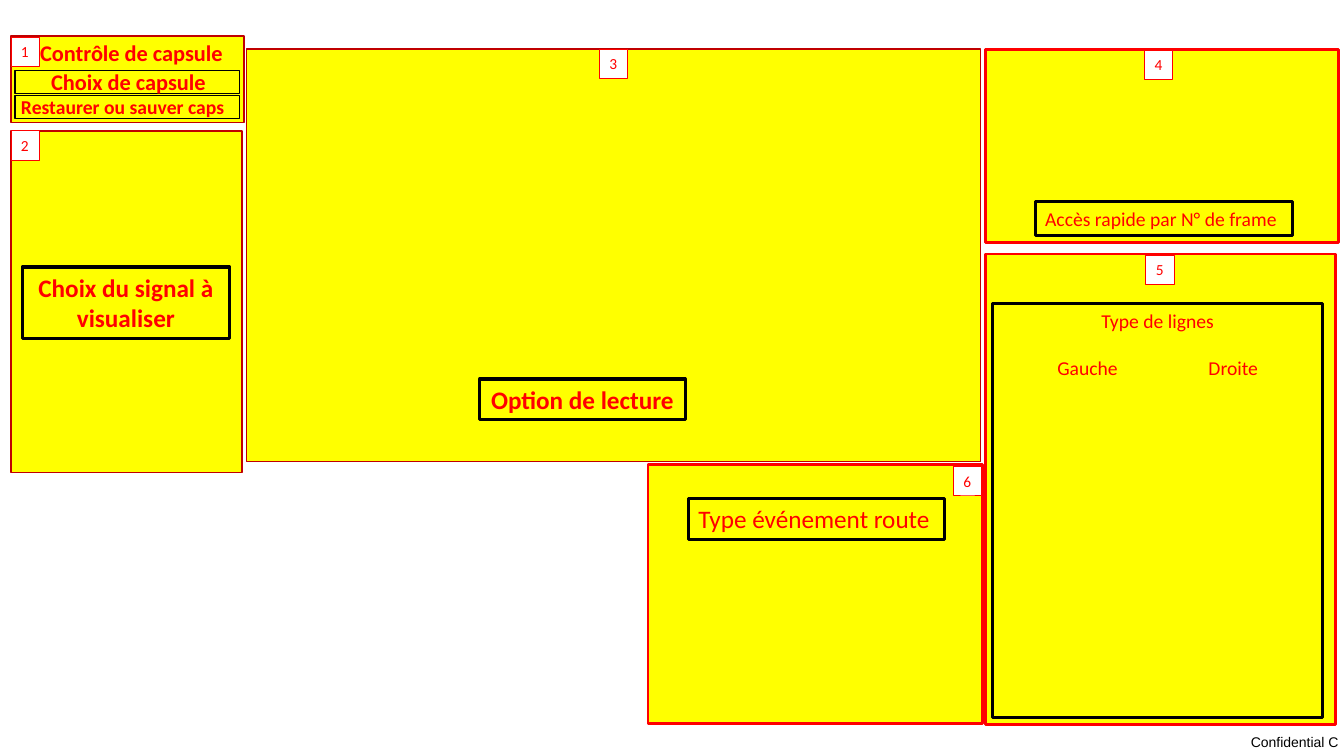
from pptx import Presentation
from pptx.dml.color import RGBColor
from pptx.enum.shapes import MSO_SHAPE
from pptx.enum.text import MSO_ANCHOR, PP_ALIGN
from pptx.util import Cm, Pt

RECT = MSO_SHAPE.RECTANGLE
TOP, MIDDLE = MSO_ANCHOR.TOP, MSO_ANCHOR.MIDDLE
LEFT, CENTER, RIGHT = PP_ALIGN.LEFT, PP_ALIGN.CENTER, PP_ALIGN.RIGHT
COLORS = {"yellow": "FFFF00", "red": "FF0000", "dark red": "C00000",
          "black": "000000", "white": "FFFFFF"}

prs = Presentation()
prs.slide_width, prs.slide_height = Cm(33.87), Cm(19.05)
slide = prs.slides.add_slide(prs.slide_layouts[6])


def add_box(box, line, width, fill=None):
    sp = slide.shapes.add_shape(RECT, *[Cm(v) for v in box])
    sp.shadow.inherit = False
    if fill:
        sp.fill.solid()
        sp.fill.fore_color.rgb = RGBColor.from_string(COLORS[fill])
    else:
        sp.fill.background()
    sp.line.color.rgb = RGBColor.from_string(COLORS[line])
    sp.line.width = Pt(width)
    return sp


def write(sp, text, size, bold=False, align=LEFT, wrap=False, font="Calibri", color="red"):
    tf = sp.text_frame
    tf.text = text
    tf.word_wrap = wrap
    tf.vertical_anchor = TOP
    for p in tf.paragraphs:
        p.alignment = align
        for r in p.runs:
            r.font.name, r.font.size, r.font.bold = font, Pt(size), bold
            r.font.color.rgb = RGBColor.from_string(COLORS[color])
    return tf


# Numbered zones of the screen: box, line colour, line width
panels = [
    ((0.28, 0.91, 5.87, 2.18), "dark red", 1),
    ((0.28, 3.3, 5.82, 8.61), "dark red", 1),
    ((6.22, 1.24, 18.49, 10.39), "dark red", 1),
    ((24.84, 1.24, 8.89, 4.88), "red", 2),
    ((24.84, 6.4, 8.81, 11.86), "red", 2),
    ((16.33, 11.71, 8.43, 6.53), "red", 2),
]
for box, line, width in panels:
    add_box(box, line, width, "yellow")

# Capsule control
for top in (1.78, 2.41):
    add_box((0.38, top, 5.66, 0.58), "black", 1)

capsule_labels = [
    ((0.76, 0.86, 5.28, 0.94), "Contrôle de capsule", 16),
    ((1.04, 1.6, 4.47, 0.94), "Choix de capsule", 16),
    ((0.28, 2.26, 5.66, 0.86), "Restaurer ou sauver caps", 14),
]
for box, text, size in capsule_labels:
    write(slide.shapes.add_textbox(*[Cm(v) for v in box]), text, size, bold=True)

# Framed captions: box, text, size, bold, alignment, wrap
captions = [
    ((0.56, 6.73, 5.23, 1.8), "Choix du signal à visualiser", 18, True, CENTER, True),
    ((12.09, 9.55, 5.18, 1.02), "Option de lecture", 18, True, CENTER, False),
    ((26.09, 5.08, 6.48, 0.86), "Accès rapide par N° de frame", 14, False, LEFT, False),
    ((17.35, 12.57, 6.45, 1.02), "Type événement route", 18, False, LEFT, False),
]
for box, text, size, bold, align, wrap in captions:
    write(add_box(box, "black", 2.25), text, size, bold, align, wrap)

line_types = add_box((25.02, 7.65, 8.31, 10.44), "black", 2)
tf = write(line_types, "Type de lignes\nGauche\t\tDroite", 14, align=CENTER, wrap=True)
tf.paragraphs[1].space_before = Pt(17)

# Zone numbers
badges = [(0.28, 0.94), (0.28, 3.3), (15.11, 1.24), (28.85, 1.27), (28.88, 6.43), (24.03, 11.76)]
for number, (left, top) in enumerate(badges, start=1):
    write(add_box((left, top, 0.71, 0.74), "red", 0.75, "white"), str(number), 11)

footer = slide.shapes.add_textbox(Cm(30.86), Cm(18.36), Cm(3), Cm(0.69))
tf = write(footer, "Confidential C", 10, align=RIGHT, wrap=True, font="Arial", color="black")
tf.vertical_anchor = MIDDLE
tf.margin_left = tf.margin_top = tf.margin_bottom = 0
tf.margin_right = Cm(0.13)

prs.save("out.pptx")
